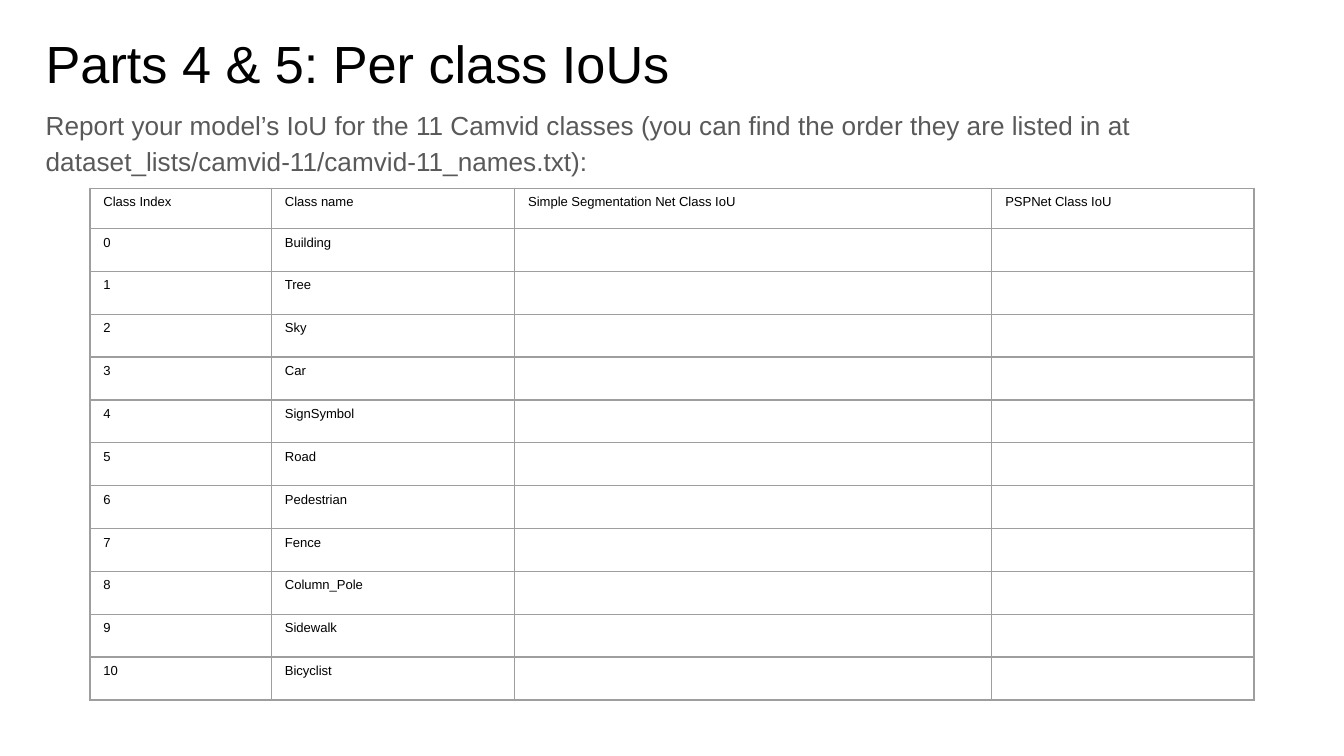
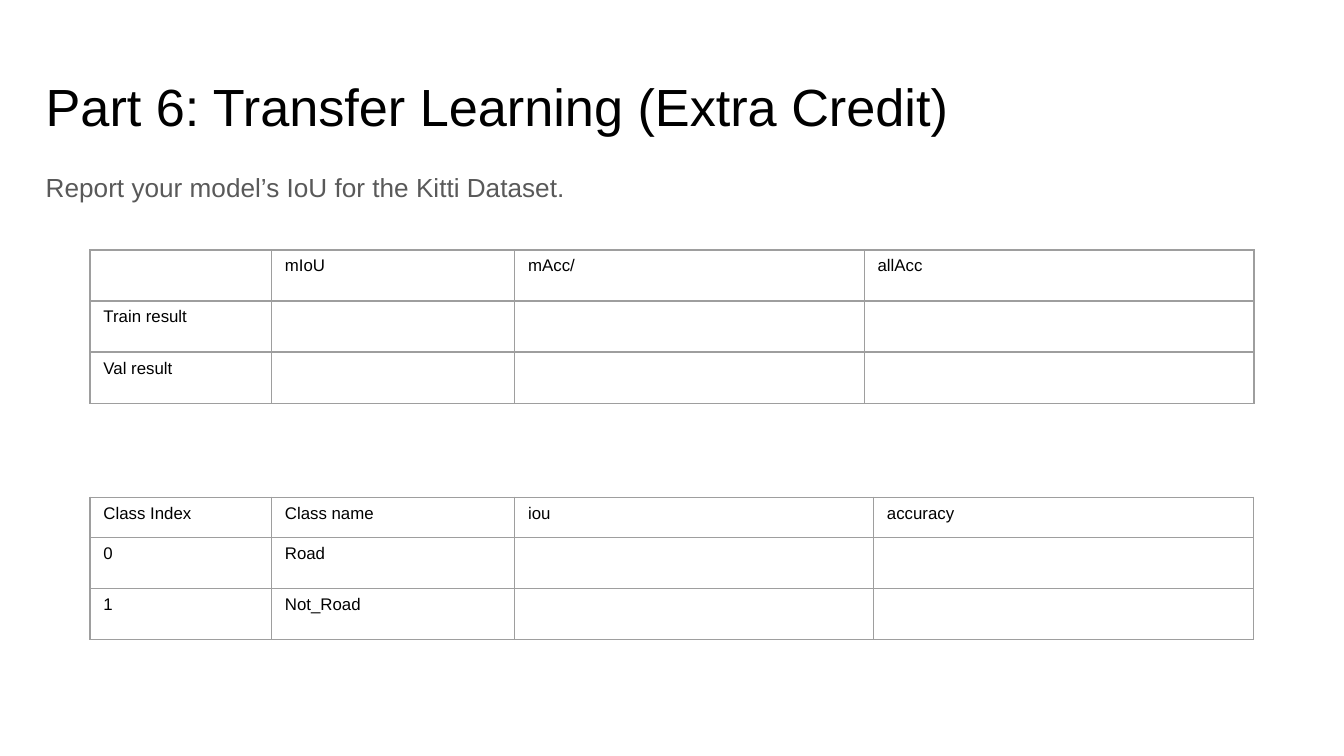
from lxml import etree
from pptx import Presentation
from pptx.dml.color import RGBColor
from pptx.enum.text import MSO_ANCHOR, MSO_AUTO_SIZE, PP_ALIGN
from pptx.oxml.ns import qn
from pptx.util import Inches, Pt

TOP = MSO_ANCHOR.TOP
LEFT = PP_ALIGN.LEFT
NO_FIT = MSO_AUTO_SIZE.NONE

BLACK = RGBColor(0x00, 0x00, 0x00)
GREY = RGBColor(0x59, 0x59, 0x59)
RULE = RGBColor(0x9E, 0x9E, 0x9E)
WHITE = RGBColor(0xFF, 0xFF, 0xFF)

FONT = "Arial"
TEXT_X, TEXT_W = 0.34, 9.32
GRID_X = 0.67
HEAD_H = 0.3

CLASSES = ["Building", "Tree", "Sky", "Car", "SignSymbol", "Road",
           "Pedestrian", "Fence", "Column_Pole", "Sidewalk", "Bicyclist"]


def add_run(para, text, size, color):
    run = para.add_run()
    run.text = text
    run.font.name = FONT
    run.font.size = Pt(size)
    run.font.color.rgb = color


def fill_holder(holder, top, height, text, size, color):
    """Place a title or body placeholder and return its paragraph."""
    holder.left, holder.top = Inches(TEXT_X), Inches(top)
    holder.width, holder.height = Inches(TEXT_W), Inches(height)
    frame = holder.text_frame
    frame.word_wrap = True
    frame.auto_size = NO_FIT
    frame.vertical_anchor = TOP
    frame.margin_left = frame.margin_right = 0
    frame.margin_top = frame.margin_bottom = Inches(0.1)
    para = frame.paragraphs[0]
    para.alignment = LEFT
    para.space_before = Pt(0)
    add_run(para, text, size, color)
    return para


def add_page(prs, title, title_y, lead, lead_y):
    """Add a slide with a title and a lead line without bullet."""
    slide = prs.slides.add_slide(prs.slide_layouts[1])
    slide.background.fill.solid()
    slide.background.fill.fore_color.rgb = WHITE
    fill_holder(slide.shapes.title, title_y, 0.63, title, 28, BLACK)
    para = fill_holder(slide.placeholders[1], lead_y, 0.72, lead, 14, GREY)
    para.line_spacing = 1.15
    props = para._p.get_or_add_pPr()
    props.set("marL", "0")
    props.set("indent", "0")
    etree.SubElement(props, qn("a:buNone"))
    return slide


def add_border(cell):
    props = cell._tc.get_or_add_tcPr()
    for spot, side in enumerate(("lnL", "lnR", "lnT", "lnB")):
        line = etree.Element(qn("a:" + side), w=str(Pt(0.75)))
        fill = etree.SubElement(line, qn("a:solidFill"))
        etree.SubElement(fill, qn("a:srgbClr"), val=str(RULE))
        props.insert(spot, line)


def fill_cell(cell, text, size):
    cell.margin_left = cell.margin_right = Inches(0.1)
    cell.margin_top = cell.margin_bottom = Inches(0.05)
    cell.vertical_anchor = TOP
    cell.fill.background()
    add_border(cell)
    para = cell.text_frame.paragraphs[0]
    if text:
        add_run(para, text, size, BLACK)
    else:
        # Keep blank cells from stretching their row
        etree.SubElement(para._p, qn("a:endParaRPr"), sz=str(size * 100))


def add_grid(slide, top, widths, heights, rows, size):
    """Add a plain ruled table; short rows end in blank cells."""
    frame = slide.shapes.add_table(
        len(rows), len(widths), Inches(GRID_X), Inches(top),
        Inches(sum(widths)), Inches(sum(heights)))
    table = frame.table
    table.first_row = table.horz_banding = False
    for col, width in zip(table.columns, widths):
        col.width = Inches(width)
    for row, height, texts in zip(table.rows, heights, rows):
        row.height = Inches(height)
        blanks = [""] * (len(widths) - len(texts))
        for cell, text in zip(row.cells, texts + blanks):
            fill_cell(cell, text, size)


def list_rows(names):
    return [[str(num), name] for num, name in enumerate(names)]


def add_scores(prs):
    slide = add_page(
        prs, "Parts 4 & 5: Per class IoUs", 0.13,
        "Report your model’s IoU for the 11 Camvid classes (you can find the "
        "order they are listed in at "
        "dataset_lists/camvid-11/camvid-11_names.txt):", 0.68)
    head = ["Class Index", "Class name",
            "Simple Segmentation Net Class IoU", "PSPNet Class IoU"]
    count = len(CLASSES)
    heights = [HEAD_H] + [3.51 / count] * count
    add_grid(slide, 1.4, [1.35, 1.81, 3.55, 1.95], heights,
             [head] + list_rows(CLASSES), 7)


def add_transfer(prs):
    slide = add_page(
        prs, "Part 6: Transfer Learning (Extra Credit)", 0.45,
        "Report your model’s IoU for the Kitti Dataset.", 1.14)
    # Scores per class
    head = ["Class Index", "Class name", "iou", "accuracy"]
    add_grid(slide, 3.7, [1.35, 1.81, 2.67, 2.83], [HEAD_H, 0.38, 0.38],
             [head] + list_rows(["Road", "Not_Road"]), 9)
    # Overall scores
    add_grid(slide, 1.86, [1.35, 1.81, 2.6, 2.9], [0.38] * 3,
             [["", "mIoU", "mAcc/", "allAcc"],
              ["Train result"], ["Val result"]], 9)


def main():
    prs = Presentation()
    # Widescreen, 16:9
    prs.slide_width = Inches(10)
    prs.slide_height = prs.slide_width * 9 // 16
    add_scores(prs)
    add_transfer(prs)
    prs.save("out.pptx")


if __name__ == "__main__":
    main()
